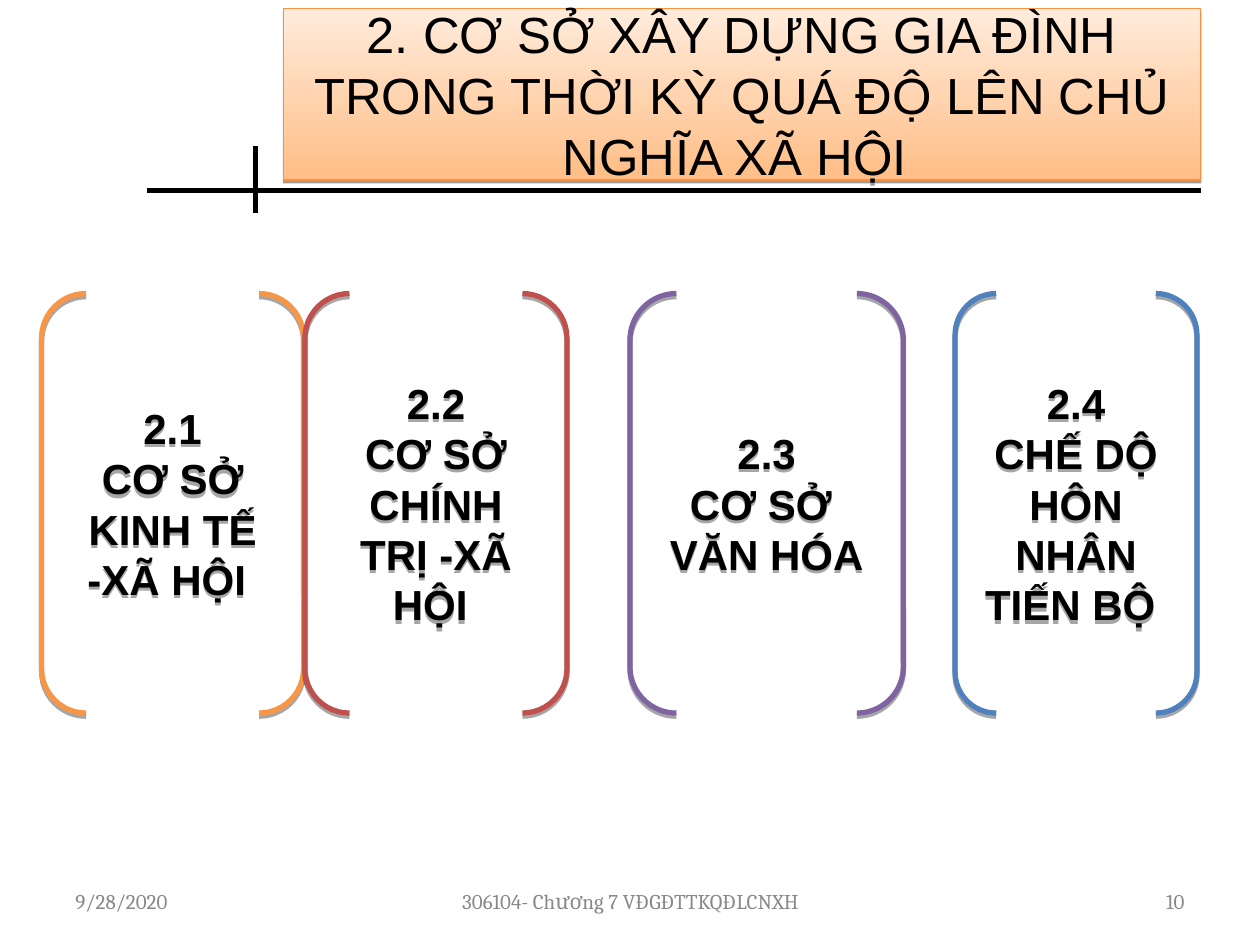
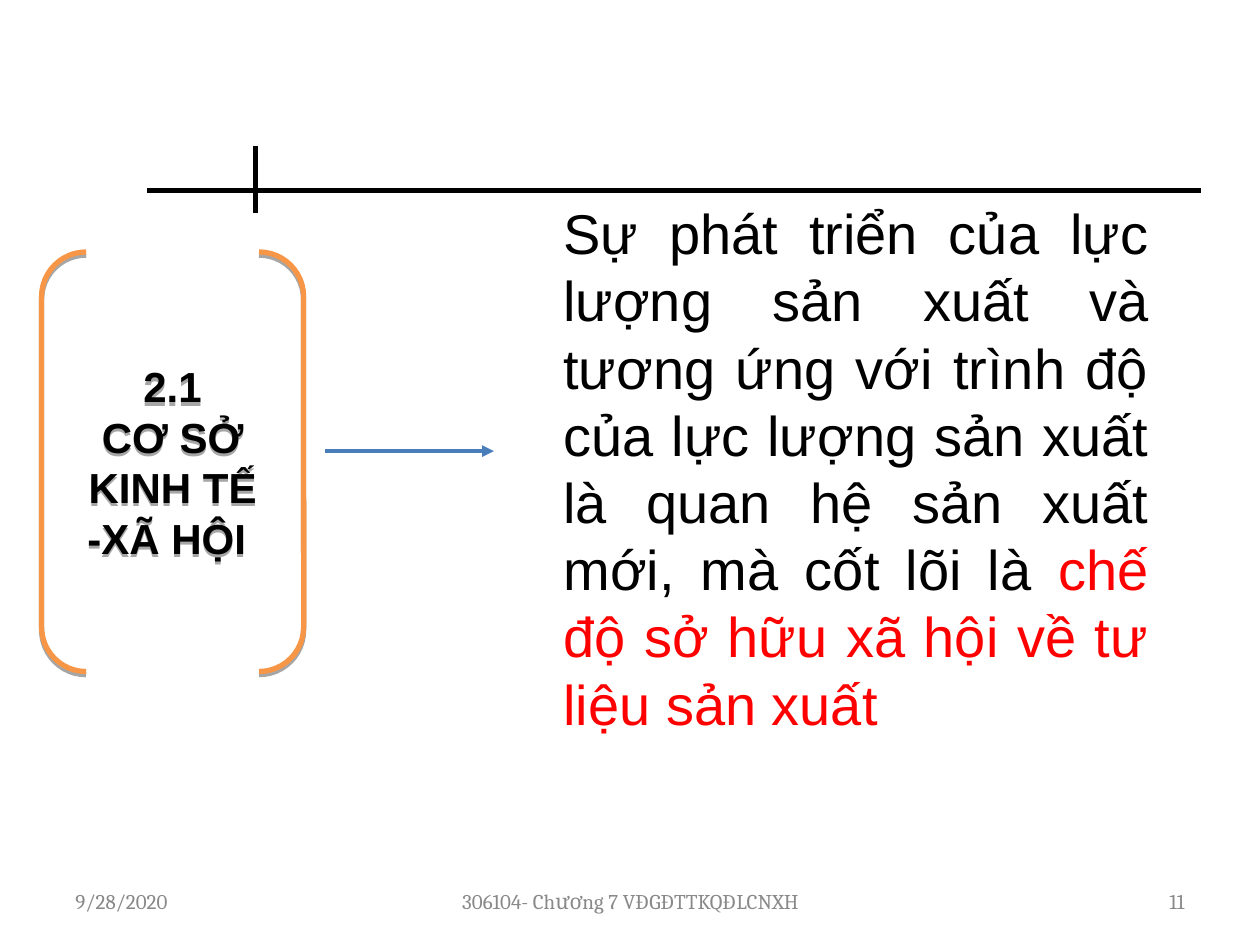
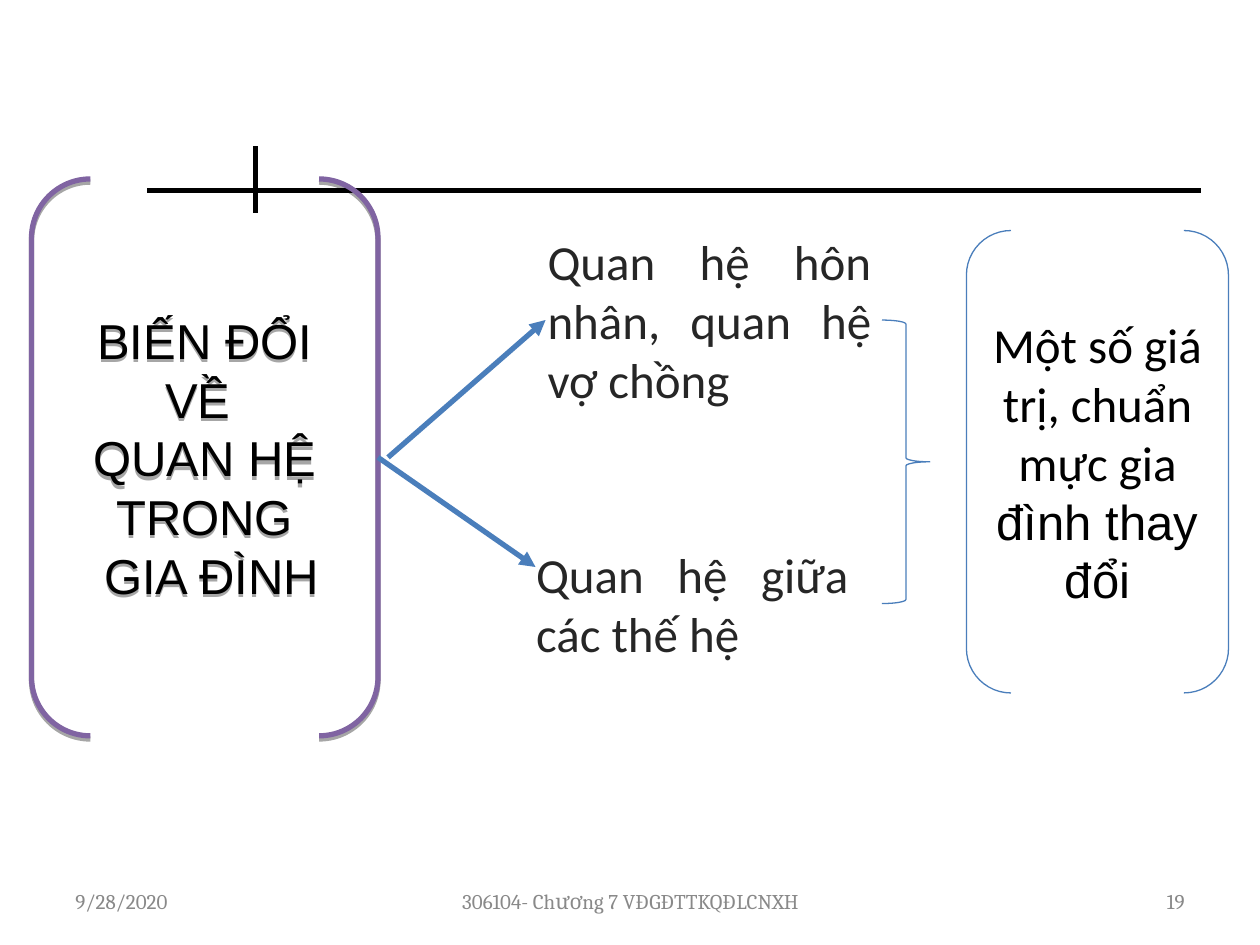
from lxml import etree
from pptx import Presentation
from pptx import util as u
from pptx.dml.color import RGBColor
from pptx.enum import shapes, text
from pptx.oxml import ns

EMU_PER_PX = 9144
BLACK, RED, GRAY, DARK = "000000", "FF0000", "898989", "262626"
ORANGE, PURPLE, CRIMSON, BLUE, ARROW_BLUE = "F79646", "8064A2", "C0504D", "4F81BD", "4A7EBB"
LEFT, CENTER, RIGHT, JUSTIFY = (
    text.PP_ALIGN.LEFT, text.PP_ALIGN.CENTER, text.PP_ALIGN.RIGHT, text.PP_ALIGN.JUSTIFY)
SHAPE = shapes.MSO_SHAPE

TITLE = {"name": "Arial", "size": 29, "color": BLACK}
HEADING = {"name": "Arial", "size": 24, "bold": True, "color": BLACK}
TOPIC = {"name": "Arial", "size": 28, "color": BLACK}
STATEMENT = {"name": "Arial", "size": 32, "color": BLACK}
RELATION = {"name": "Calibri", "size": 28, "color": DARK}
VALUE = {"name": "Calibri", "size": 28, "color": BLACK}
FOOTER = {"name": "Cambria", "size": 12, "color": GRAY}

ECONOMIC_BASIS = ["2.1", "CƠ SỞ KINH TẾ -XÃ HỘI "]


def px(*lengths):
    return [u.Emu(length * EMU_PER_PX) for length in lengths]


def rgb(value):
    return RGBColor.from_string(value)


def format_font(font, style):
    for name, value in style.items():
        if name == "color":
            font.color.rgb = rgb(value)
        else:
            setattr(font, name, u.Pt(value) if name == "size" else value)


def write_text(shape, paragraphs, style, alignment):
    frame = shape.text_frame
    frame.word_wrap = True
    frame.vertical_anchor = text.MSO_ANCHOR.MIDDLE
    for index, runs in enumerate(paragraphs):
        paragraph = frame.paragraphs[0] if index == 0 else frame.add_paragraph()
        paragraph.alignment = alignment
        for content, changes in [(runs, {})] if isinstance(runs, str) else runs:
            run = paragraph.add_run()
            run.text = content
            format_font(run.font, {**style, **changes})


def add_shadow(shape, distance, opacity):
    effects = shape._element.spPr.find(ns.qn("a:effectLst"))
    shadow = etree.SubElement(effects, ns.qn("a:outerShdw"), blurRad="0",
                              dist=str(u.Pt(distance)), dir="5400000", rotWithShape="0")
    color = etree.SubElement(shadow, ns.qn("a:srgbClr"), val=BLACK)
    etree.SubElement(color, ns.qn("a:alpha"), val=str(opacity * 1000))


def add_outline(slide, kind, box, color=None, width=0.75):
    shape = slide.shapes.add_shape(kind, *px(*box))
    shape.shadow.inherit = False
    shape.fill.background()
    if color:
        shape.line.color.rgb = rgb(color)
        shape.line.width = u.Pt(width)
    else:
        shape.line.fill.background()
    return shape


def add_bracket(slide, box, paragraphs, style, color=None, width=0.75, alignment=CENTER):
    shape = add_outline(slide, SHAPE.DOUBLE_BRACKET, box, color, width)
    shape.adjustments[0] = 0.17
    write_text(shape, paragraphs, style, alignment)
    return shape


def add_shadowed_bracket(slide, box, paragraphs, style, color):
    add_shadow(add_bracket(slide, box, paragraphs, style, color, 3), 1.8, 35)


def add_relation(slide, box, content):
    shape = add_outline(slide, SHAPE.ROUNDED_RECTANGLE, box)
    write_text(shape, [content], RELATION, JUSTIFY)


def add_line(slide, ends, color, width, arrow=False):
    connector = slide.shapes.add_connector(shapes.MSO_CONNECTOR.STRAIGHT, *px(*ends))
    connector.line.color.rgb = rgb(color)
    connector.line.width = u.Pt(width)
    properties = connector._element.spPr
    if arrow:
        etree.SubElement(properties.find(ns.qn("a:ln")), ns.qn("a:tailEnd"), type="triangle")
    etree.SubElement(properties, ns.qn("a:effectLst"))


def add_title(slide, content):
    shape = add_outline(slide, SHAPE.RECTANGLE, (225, 7, 728, 136), "F69240")
    shape.fill.gradient()
    shape.fill.gradient_angle = 90
    for stop, color in zip(shape.fill.gradient_stops, ("FFBE86", "FFEBDB")):
        stop.color.rgb = rgb(color)
    add_shadow(shape, 1.6, 38)
    write_text(shape, [content], TITLE, CENTER)


def add_footers(slide, number):
    for left, width, content, alignment in (
            (50, 233, "9/28/2020", LEFT),
            (342, 317, "306104- Chương 7 VĐGĐTTKQĐLCNXH", CENTER),
            (717, 233, str(number), RIGHT)):
        box = slide.shapes.add_textbox(*px(left, 695, width, 40))
        write_text(box, [content], FOOTER, alignment)


def add_slide(presentation, number):
    slide = presentation.slides.add_slide(presentation.slide_layouts[6])
    add_line(slide, (117, 151, 953, 151), BLACK, 3)
    add_line(slide, (203, 116, 203, 169), BLACK, 3)
    add_footers(slide, number)
    return slide


def build_foundations(presentation):
    slide = add_slide(presentation, 10)
    add_title(slide, "2. CƠ SỞ XÂY DỰNG GIA ĐÌNH TRONG THỜI KỲ QUÁ ĐỘ LÊN CHỦ NGHĨA XÃ HỘI ")
    for left, width, color, paragraphs in (
            (33, 208, ORANGE, ECONOMIC_BASIS),
            (500, 217, PURPLE, ["2.3", "CƠ SỞ ", "VĂN HÓA"]),
            (242, 208, CRIMSON, ["2.2", "CƠ SỞ CHÍNH TRỊ -XÃ HỘI "]),
            (758, 192, BLUE, ["2.4", "CHẾ DỘ HÔN NHÂN TIẾN BỘ "])):
        add_shadowed_bracket(slide, (left, 233, width, 333), paragraphs, HEADING, color)


def build_economic_basis(presentation):
    slide = add_slide(presentation, 11)
    add_shadowed_bracket(slide, (33, 200, 208, 333), ECONOMIC_BASIS, HEADING, ORANGE)
    statement = [
        ("Sự phát triển của lực lượng sản xuất và tương ứng với trình độ của lực lượng "
         "sản xuất là quan hệ sản xuất mới, mà cốt lõi là ", {}),
        ("chế độ sở hữu xã hội về tư liệu sản xuất ", {"color": RED})]
    add_bracket(slide, (417, 167, 525, 408), [statement], STATEMENT, alignment=JUSTIFY)
    add_line(slide, (258, 358, 392, 358), ARROW_BLUE, 2.25, arrow=True)


def build_family_changes(presentation):
    slide = add_slide(presentation, 19)
    add_shadowed_bracket(slide, (25, 142, 275, 442),
                         ["BIẾN ĐỔI VỀ ", "QUAN HỆ", "TRONG", " GIA ĐÌNH"], TOPIC, PURPLE)
    add_relation(slide, (417, 175, 292, 158), "Quan hệ hôn nhân, quan hệ vợ chồng")
    add_relation(slide, (408, 400, 283, 158), "Quan hệ giữa các thế hệ")
    add_line(slide, (308, 363, 433, 254), ARROW_BLUE, 3, arrow=True)
    add_line(slide, (300, 363, 425, 450), ARROW_BLUE, 3, arrow=True)
    add_outline(slide, SHAPE.RIGHT_BRACE, (700, 254, 38, 225), ARROW_BLUE)
    values = [("Một số giá trị, chuẩn mực gia ", {}), ("đình thay đổi", {"name": "Arial"})]
    add_bracket(slide, (767, 183, 208, 367), [values], VALUE, ARROW_BLUE)


def main():
    presentation = Presentation()
    presentation.slide_width, presentation.slide_height = px(1000, 750)
    build_foundations(presentation)
    build_economic_basis(presentation)
    build_family_changes(presentation)
    presentation.save("out.pptx")


if __name__ == "__main__":
    main()
